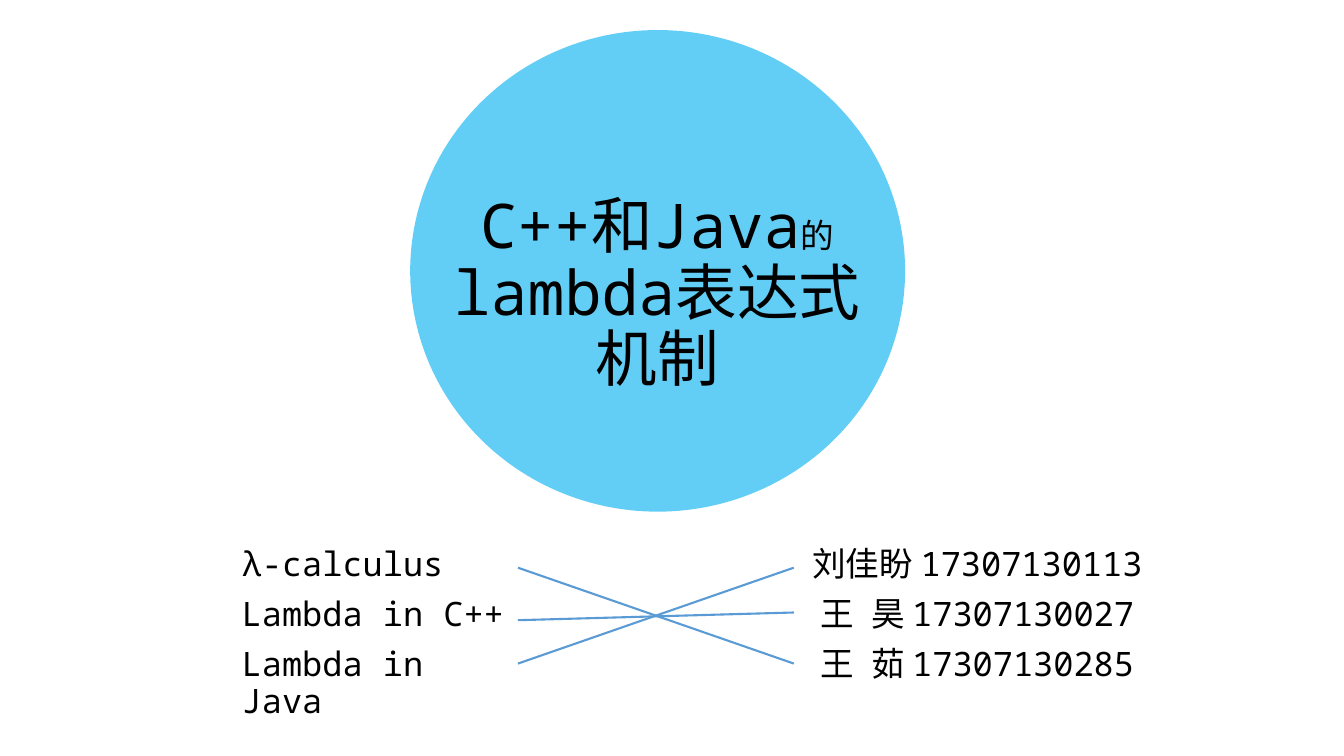
"""Build the title slide on lambda expressions in C++ and Java."""
from lxml import etree
from pptx import Presentation
from pptx.dml.color import RGBColor
from pptx.enum import shapes, text
from pptx.oxml.ns import qn
from pptx.util import Pt

COLORS = {"circle": "00B0F0", "text": "000000", "line": "5B9BD5"}
FONT = "Noto Sans Mono"


def add_text(paragraph, content, size):
    run = paragraph.add_run()
    run.text = content
    run.font.name = FONT
    run.font.size = Pt(size)
    run.font.color.rgb = RGBColor.from_string(COLORS["text"])


def add_box(left, top, width, height, anchor):
    box = slide.shapes.add_textbox(Pt(left), Pt(top), Pt(width), Pt(height))
    frame = box.text_frame
    frame.word_wrap = True
    frame.vertical_anchor = anchor
    return frame


presentation = Presentation()
presentation.slide_width = Pt(960)
presentation.slide_height = Pt(540)
slide = presentation.slides.add_slide(presentation.slide_layouts[6])

circle = slide.shapes.add_shape(
    shapes.MSO_SHAPE.OVAL, Pt(293), Pt(21.5), Pt(353.5), Pt(344)
)
circle.shadow.inherit = False
circle.line.fill.background()
circle.fill.solid()
circle.fill.fore_color.rgb = RGBColor.from_string(COLORS["circle"])
circle_color = circle.fill._xPr.find(".//" + qn("a:srgbClr"))
etree.SubElement(circle_color, qn("a:alpha"), val="61000")

title = add_box(256.3, 100.8, 426.2, 185, text.MSO_ANCHOR.BOTTOM).paragraphs[0]
title.alignment = text.PP_ALIGN.CENTER
title.line_spacing = 0.9
add_text(title, "C++和Java", 44)
add_text(title, "的", 24)
title.add_line_break()
add_text(title, "lambda表达式", 44)
title.add_line_break()
add_text(title, "机制", 44)

authors = ["刘佳盼 17307130113", "王\u2002昊 17307130027", "王\u2002茹 17307130285"]
topics = ["λ-calculus", "Lambda in C++", "Lambda in Java"]
columns = [
    (538.6, 319, 133.2, text.PP_ALIGN.CENTER, authors),
    (165.6, 204.5, 110.9, text.PP_ALIGN.LEFT, topics),
]
for left, width, height, alignment, entries in columns:
    frame = add_box(left, 387.4, width, height, text.MSO_ANCHOR.TOP)
    for index, entry in enumerate(entries):
        paragraph = frame.add_paragraph() if index else frame.paragraphs[0]
        paragraph.alignment = alignment
        paragraph.line_spacing = 0.9
        paragraph.space_before = Pt(10)
        add_text(paragraph, entry, 24)

for topic_y, author_y in [(405.5, 474), (443, 437.5), (474, 405.5)]:
    link = slide.shapes.add_connector(
        shapes.MSO_CONNECTOR.STRAIGHT, Pt(370), Pt(topic_y), Pt(567), Pt(author_y)
    )
    link.line.color.rgb = RGBColor.from_string(COLORS["line"])
    link.line.width = Pt(1.5)
    etree.SubElement(link._element.spPr, qn("a:effectLst"))

presentation.save("out.pptx")
